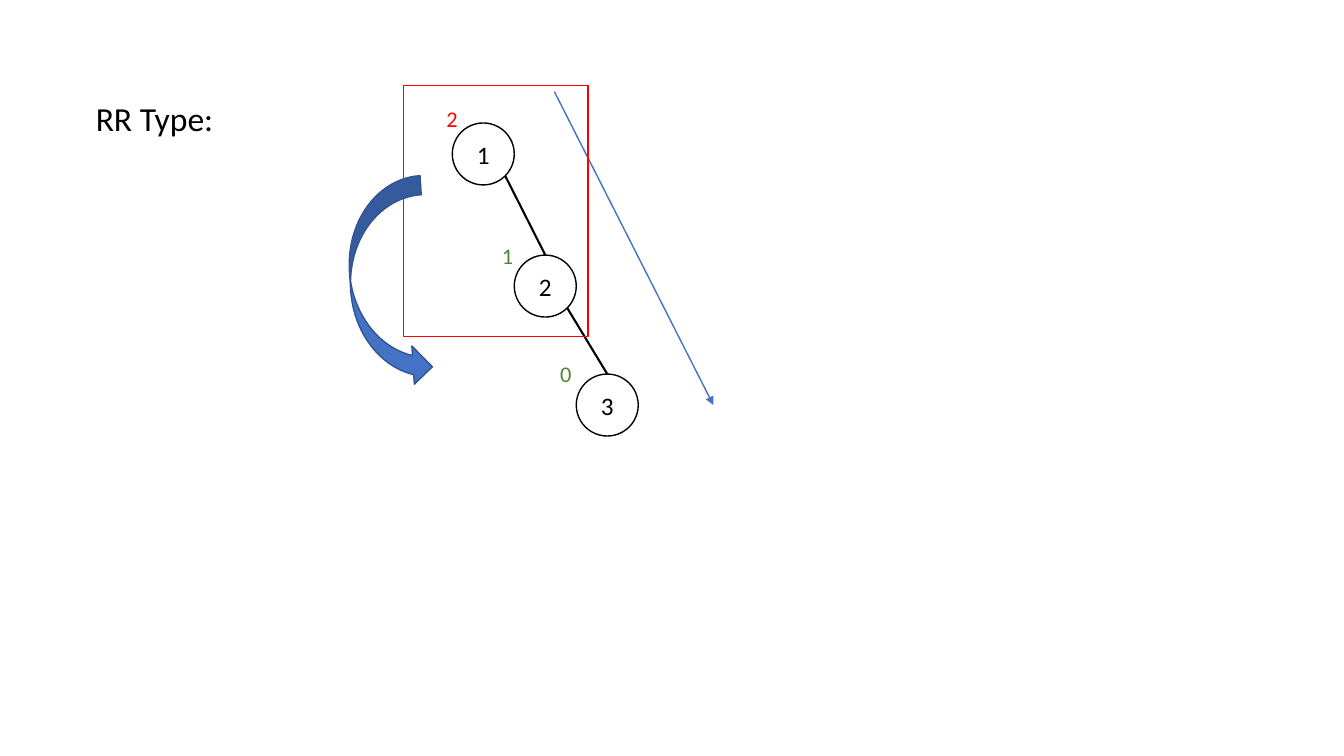
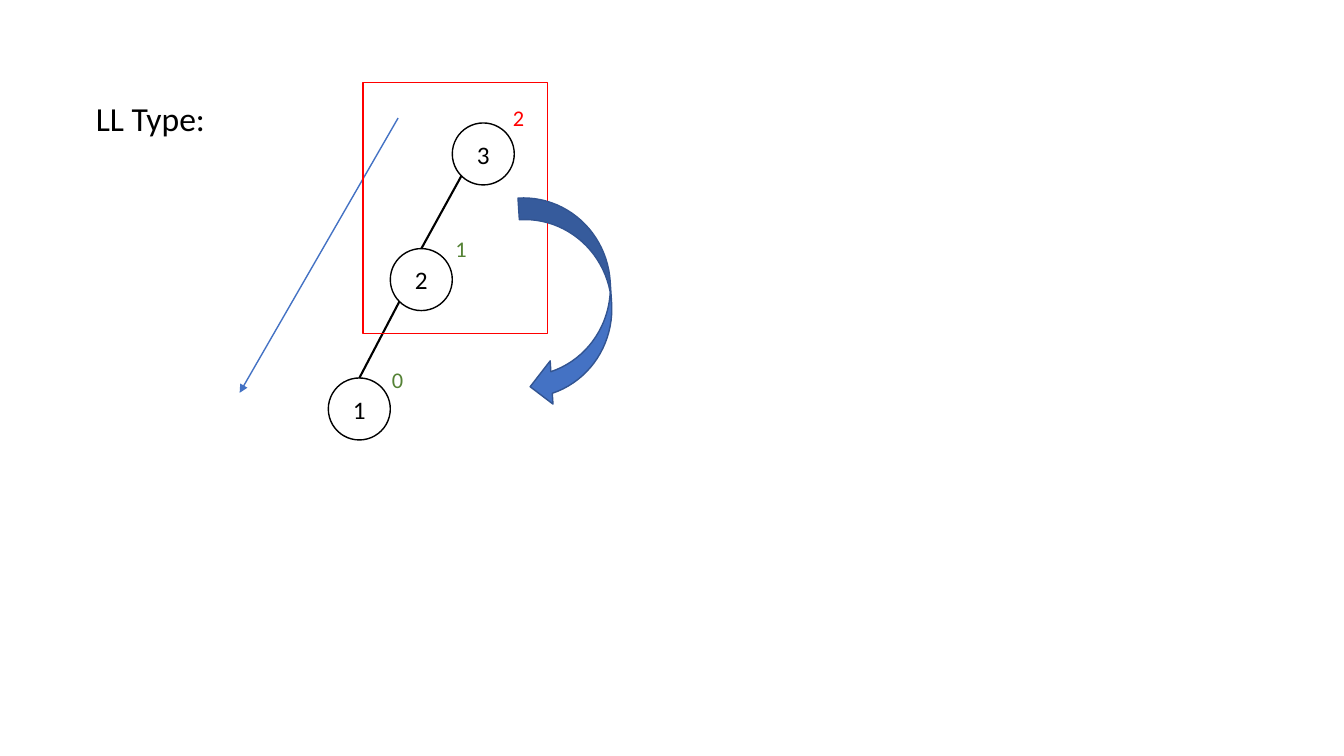
"""Build two slides showing the RR and LL cases of an unbalanced AVL tree."""
from dataclasses import dataclass
from math import sqrt

from lxml.etree import SubElement
from pptx import Presentation
from pptx.dml.color import RGBColor
from pptx.enum.shapes import MSO_CONNECTOR, MSO_SHAPE
from pptx.enum.text import MSO_ANCHOR, MSO_AUTO_SIZE, PP_ALIGN
from pptx.oxml.ns import qn
from pptx.shapes.autoshape import Shape
from pptx.slide import Slide
from pptx.text.text import TextFrame
from pptx.util import Pt

BLACK = RGBColor(0x00, 0x00, 0x00)
WHITE = RGBColor(0xFF, 0xFF, 0xFF)
RED = RGBColor(0xFF, 0x00, 0x00)
GREEN = RGBColor(0x54, 0x82, 0x35)
BLUE = RGBColor(0x44, 0x72, 0xC4)
DARK_BLUE = RGBColor(0x32, 0x54, 0x91)
FONT = "Calibri"

DIAMETER = 44.28
ROOT_LEFT = 323.1
ROTATION_ANGLE = 86.3

Point = tuple[float, float]
Box = tuple[float, float, float, float]


@dataclass(frozen=True)
class Node:
    """A tree node with its balance factor."""
    key: str
    top: float
    balance: str
    balance_at: Point
    balance_color: RGBColor


@dataclass(frozen=True)
class TreeCase:
    """An unbalanced chain leaning right (1) or left (-1)."""
    heading: str
    heading_width: float
    lean: int
    nodes: tuple[Node, ...]
    trend: tuple[Point, Point]
    pivot_frame: Box
    rotation_box: Box
    rotation_flipped: bool


CASES = (
    TreeCase(
        "RR Type:", 99.4, 1,
        (Node("1", 87.84, "2", (311.76, 71.4), RED),
         Node("2", 182.2, "1", (351.5, 169.2), GREEN),
         Node("3", 267.2, "0", (393.1, 254), GREEN)),
        ((396, 65.5), (509.5, 289.2)),
        (288, 61, 132, 179.5),
        (202.3, 175, 150.5, 54.7), False),
    TreeCase(
        "LL Type:", 93.6, -1,
        (Node("3", 87.84, "2", (359.3, 70.6), RED),
         Node("2", 177.6, "1", (318.2, 164.2), GREEN),
         Node("1", 270, "0", (272.9, 257.8), GREEN)),
        ((284.4, 84.3), (171.2, 280.6)),
        (259.2, 59, 132, 179.5),
        (330.5, 183.6, 150.5, 61.9), True),
)


def write(frame: TextFrame, text: str, size: float, color: RGBColor,
          align: PP_ALIGN = PP_ALIGN.LEFT) -> None:
    """Add one formatted run to the first paragraph."""
    paragraph = frame.paragraphs[0]
    paragraph.alignment = align
    run = paragraph.add_run()
    run.text = text
    run.font.name = FONT
    run.font.size = Pt(size)
    run.font.color.rgb = color


def fit(frame: TextFrame) -> None:
    """Keep the text on one line at the top of a box that fits it."""
    frame.word_wrap = False
    frame.auto_size = MSO_AUTO_SIZE.SHAPE_TO_FIT_TEXT
    frame.vertical_anchor = MSO_ANCHOR.TOP


def add_outlined(slide: Slide, preset: MSO_SHAPE, box: Box, outline: RGBColor,
                 fill: RGBColor | None = None) -> Shape:
    """Add a preset shape with a thin outline and an optional fill."""
    shape = slide.shapes.add_shape(preset, *map(Pt, box))
    shape.shadow.inherit = False
    if fill is None:
        shape.fill.background()
    else:
        shape.fill.solid()
        shape.fill.fore_color.rgb = fill
    shape.line.color.rgb = outline
    shape.line.width = Pt(1)
    return shape


def add_line(slide: Slide, start: Point, end: Point, color: RGBColor,
             width: float, arrow: bool = False) -> None:
    """Add a straight line, with an arrowhead at its end if wanted."""
    line = slide.shapes.add_connector(
        MSO_CONNECTOR.STRAIGHT, *map(Pt, start + end))
    line.line.color.rgb = color
    line.line.width = Pt(width)
    properties = line.element.spPr
    if arrow:
        SubElement(properties.find(qn("a:ln")), qn("a:tailEnd"), type="triangle")
    SubElement(properties, qn("a:effectLst"))


def add_heading(slide: Slide, text: str, width: float) -> None:
    """Place the slide title."""
    title = slide.shapes.title
    title.left, title.top, title.width, title.height = map(
        Pt, (61.2, 66.3, width, 36.3))
    fit(title.text_frame)
    write(title.text_frame, text, 24, BLACK)


def add_node(slide: Slide, node: Node, left: float) -> None:
    """Draw a node circle and its balance factor."""
    circle = add_outlined(slide, MSO_SHAPE.OVAL,
                          (left, node.top, DIAMETER, DIAMETER), BLACK, WHITE)
    circle.text_frame.vertical_anchor = MSO_ANCHOR.MIDDLE
    write(circle.text_frame, node.key, 18, BLACK, PP_ALIGN.CENTER)
    balance = slide.shapes.add_textbox(
        *map(Pt, node.balance_at + (22.8, 26.64))).text_frame
    fit(balance)
    write(balance, node.balance, 16, node.balance_color)


def add_tree(slide: Slide, case: TreeCase) -> None:
    """Draw the chain of nodes and the edges between them."""
    radius = DIAMETER / 2
    step = case.lean * DIAMETER
    for level, node in enumerate(case.nodes):
        add_node(slide, node, ROOT_LEFT + level * step)
    diagonal = radius / sqrt(2)
    for level, (parent, child) in enumerate(zip(case.nodes, case.nodes[1:])):
        center = ROOT_LEFT + radius + level * step
        add_line(slide,
                 (center + case.lean * diagonal, parent.top + radius + diagonal),
                 (center + step, child.top), BLACK, 1.5)


def add_case(slide: Slide, case: TreeCase) -> None:
    """Draw one tree case with its trend, pivot frame and rotation."""
    add_heading(slide, case.heading, case.heading_width)
    add_tree(slide, case)
    add_line(slide, *case.trend, BLUE, 1, arrow=True)
    add_outlined(slide, MSO_SHAPE.RECTANGLE, case.pivot_frame, RED)
    rotation = add_outlined(slide, MSO_SHAPE.CURVED_UP_ARROW,
                            case.rotation_box, DARK_BLUE, BLUE)
    rotation.rotation = ROTATION_ANGLE
    if case.rotation_flipped:
        rotation.element.spPr.find(qn("a:xfrm")).set("flipV", "1")


def main() -> None:
    """Build and save the presentation."""
    presentation = Presentation()
    presentation.slide_width, presentation.slide_height = Pt(960), Pt(540)
    title_only = presentation.slide_layouts.get_by_name("Title Only")
    for case in CASES:
        add_case(presentation.slides.add_slide(title_only), case)
    presentation.save("out.pptx")


main()
